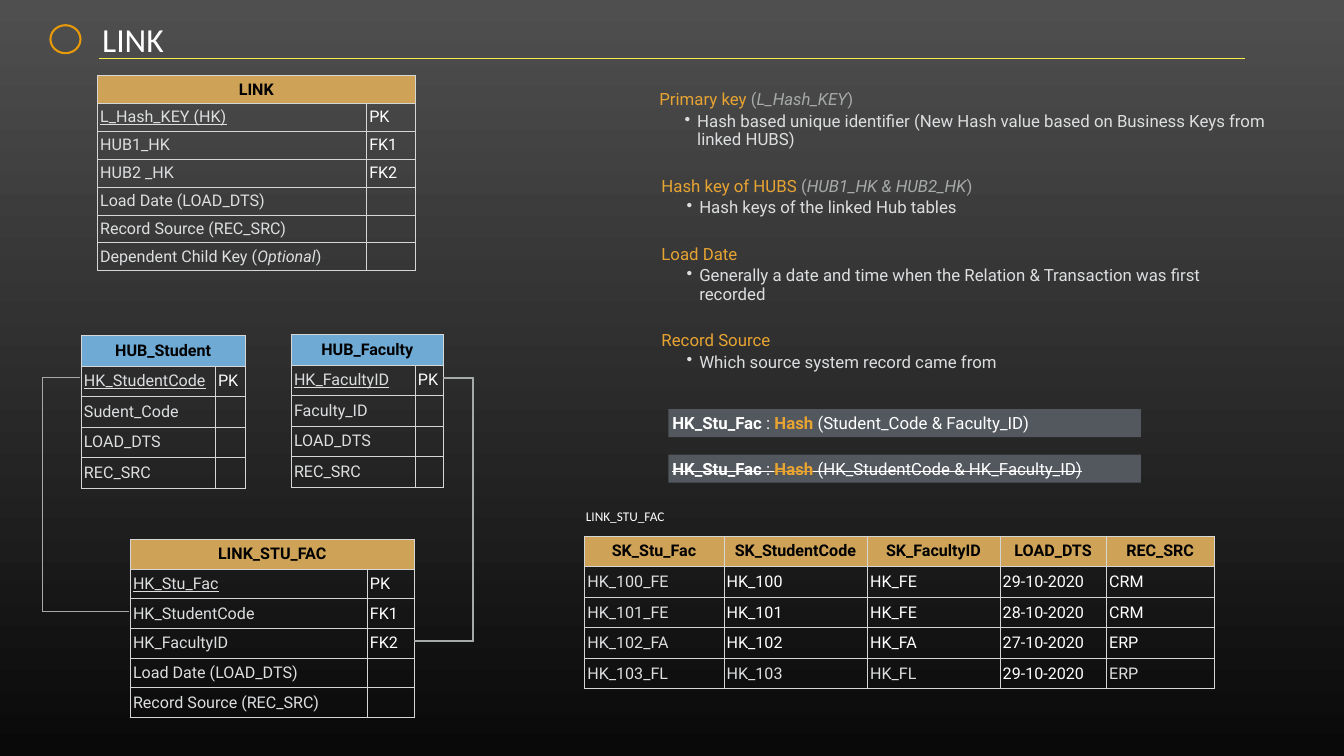
from lxml.etree import SubElement
from pptx import Presentation
from pptx.dml.color import RGBColor
from pptx.enum.shapes import MSO_CONNECTOR, MSO_SHAPE
from pptx.enum.text import MSO_ANCHOR, PP_ALIGN
from pptx.oxml.ns import qn
from pptx.util import Pt

WHITE = RGBColor(0xFF, 0xFF, 0xFF)
BLACK = RGBColor(0x00, 0x00, 0x00)
PALE = RGBColor(0xDC, 0xDE, 0xE0)
GRAY = RGBColor(0xA6, 0xAA, 0xA8)
BORDER = RGBColor(0xD6, 0xD6, 0xD6)
ORANGE = RGBColor(0xE8, 0xA4, 0x32)
GOLD = RGBColor(0xCE, 0xA3, 0x58)
BLUE = RGBColor(0x6E, 0xAA, 0xD4)
SLATE = RGBColor(0x53, 0x58, 0x5F)
YELLOW = RGBColor(0xF8, 0xEF, 0x4A)
AMBER = RGBColor(0xE6, 0x9A, 0x0A)
TOP_GRAY = RGBColor(0x4F, 0x4F, 0x4F)
BOTTOM_GRAY = RGBColor(0x09, 0x09, 0x09)

LINK_FIELDS = [
    ([("L_Hash_KEY (HK)", {"underline": True})], "PK"),
    ("HUB1_HK", "FK1"),
    ("HUB2 _HK", "FK2"),
    ("Load Date (LOAD_DTS)", ""),
    ("Record Source (REC_SRC)", ""),
    ([("Dependent Child Key (", {}), ("Optional", {"italic": True}), (")", {})], ""),
]
STUDENT_FIELDS = [
    ([("HK_StudentCode", {"underline": True})], "PK"),
    ("Sudent_Code", ""), ("LOAD_DTS", ""), ("REC_SRC", ""),
]
FACULTY_FIELDS = [
    ([("HK_FacultyID", {"underline": True})], "PK"),
    ("Faculty_ID", ""), ("LOAD_DTS", ""), ("REC_SRC", ""),
]
STU_FAC_FIELDS = [
    ([("HK_Stu_Fac", {"underline": True})], "PK"),
    ("HK_StudentCode", "FK1"),
    ("HK_FacultyID", "FK2"),
    ("Load Date (LOAD_DTS)", ""),
    ("Record Source (REC_SRC)", ""),
]
STU_FAC_ROWS = [
    ("HK_100_FE", "HK_100", "HK_FE", "29-10-2020", "CRM"),
    ("HK_101_FE", "HK_101", "HK_FE", "28-10-2020", "CRM"),
    ("HK_102_FA", "HK_102", "HK_FA", "27-10-2020", "ERP"),
    ("HK_103_FL", [("HK_103", {"color": PALE})], [("HK_FL", {"color": PALE})],
     "29-10-2020", [("ERP", {"color": PALE})]),
]
# left, top, width, height, heading, key names, explanation
NOTES = [
    (938, 120, 893, 104, "Primary key", "L_Hash_KEY",
     "Hash based unique identifier (New Hash value based on Business Keys from linked HUBS)"),
    (941, 244, 839, 76, "Hash key of HUBS", "HUB1_HK & HUB2_HK",
     "Hash keys of the linked Hub tables"),
    (941, 340.5, 839, 104, "Load Date", "",
     "Generally a date and time when the Relation & Transaction was first recorded"),
    (941, 464.5, 839, 76, "Record Source", "", "Which source system record came from"),
]
CONNECTIONS = [
    (676, 538, 676, 917), (676, 916, 592, 916), (676, 540, 633, 540),
    (184, 874, 61, 874), (61, 539, 61, 874), (115, 539, 60, 539),
]


def add_spans(para, spans, size, color, font="Roboto", **common):
    """Add text, or (text, format) pairs, to a paragraph."""
    if isinstance(spans, str):
        spans = [(spans, {})]
    for text, own in spans:
        values = {"name": font, "size": Pt(size), "color": color, **common, **own}
        span = para.add_run()
        span.text = text
        span.font.color.rgb = values.pop("color")
        if values.pop("strike", False):
            span.font._element.set("strike", "sngStrike")
        for name, value in values.items():
            setattr(span.font, name, value)


def set_margins(frame, margin):
    for side in ("left", "right", "top", "bottom"):
        setattr(frame, f"margin_{side}", Pt(margin))
    frame.vertical_anchor = MSO_ANCHOR.MIDDLE


def add_text_box(page, left, top, width, height, margin=4):
    box = page.shapes.add_textbox(Pt(left), Pt(top), Pt(width), Pt(height))
    frame = box.text_frame
    frame.word_wrap = True
    set_margins(frame, margin)
    return frame


def add_line(page, ends, color, width):
    line = page.shapes.add_connector(MSO_CONNECTOR.STRAIGHT, *map(Pt, ends))
    line.line.color.rgb = color
    line.line.width = Pt(width)
    SubElement(line._element.spPr, qn("a:effectLst"))


def format_cell(cell, spans, fill=None, **style):
    set_margins(cell, 4)
    properties = cell._tc.get_or_add_tcPr()
    for edge in ("lnL", "lnR", "lnT", "lnB"):
        line = SubElement(properties, qn(f"a:{edge}"), w=str(Pt(1)))
        solid = SubElement(line, qn("a:solidFill"))
        SubElement(solid, qn("a:srgbClr"), val=str(BORDER))
    if fill is None:
        cell.fill.background()
    else:
        cell.fill.solid()
        cell.fill.fore_color.rgb = fill
        cell.text_frame.paragraphs[0].alignment = PP_ALIGN.CENTER
    if spans:
        add_spans(cell.text_frame.paragraphs[0], spans, 23, **style)


def add_grid(page, left, top, widths, row_height, headings, rows, fill):
    """Add a table; a single heading spans all columns."""
    count = len(rows) + 1
    table = page.shapes.add_table(count, len(widths), Pt(left), Pt(top),
                                  Pt(sum(widths)), Pt(row_height * count)).table
    table.horz_banding = False
    for column, width in zip(table.columns, widths):
        column.width = Pt(width)
    for row in table.rows:
        row.height = Pt(row_height)
    if len(headings) == 1:
        table.cell(0, 0).merge(table.cell(0, len(widths) - 1))
    for index in range(len(widths)):
        heading = headings[index] if index < len(headings) else ""
        format_cell(table.cell(0, index), heading, fill, color=BLACK, bold=True)
    for row_index, values in enumerate(rows, 1):
        for index, value in enumerate(values):
            format_cell(table.cell(row_index, index), value,
                        color=WHITE if index else PALE, bold=False)


def add_note(page, left, top, width, height, heading, keys, explanation):
    frame = add_text_box(page, left, top, width, height)
    title = frame.paragraphs[0]
    title.line_spacing = 0.9
    spans = [(heading, {"color": ORANGE})]
    if keys:
        spans += [(" (", {}), (keys, {"italic": True}), (")", {})]
    add_spans(title, spans, 24, GRAY)
    bullet = frame.add_paragraph()
    properties = bullet._p.get_or_add_pPr()
    properties.set("marL", str(Pt(54)))
    properties.set("indent", str(Pt(-18)))
    SubElement(properties, qn("a:buChar"), char="•")
    bullet.line_spacing = 0.9
    bullet.space_before = Pt(5)
    add_spans(bullet, explanation, 24, PALE)


def add_formula(page, top, arguments, strike=False):
    bar = page.shapes.add_shape(MSO_SHAPE.RECTANGLE, Pt(955), Pt(top), Pt(675), Pt(40))
    bar.shadow.inherit = False
    bar.fill.solid()
    bar.fill.fore_color.rgb = SLATE
    bar.line.fill.background()
    set_margins(bar.text_frame, 5.5)
    para = bar.text_frame.paragraphs[0]
    para.alignment = PP_ALIGN.LEFT
    add_spans(para, [("HK_Stu_Fac", {"bold": True}), (" : ", {}),
                     ("Hash", {"bold": True, "color": ORANGE}),
                     (f" ({arguments})", {})], 24, WHITE, strike=strike)


def add_emblem(page):
    ring = page.shapes.add_shape(MSO_SHAPE.OVAL, Pt(72), Pt(36), Pt(43), Pt(40))
    ring.shadow.inherit = False
    ring.fill.background()
    ring.line.color.rgb = AMBER
    ring.line.width = Pt(3)


def set_background(page):
    fill = page.background.fill
    fill.gradient()
    fill.gradient_angle = 270
    for stop, color in zip(fill.gradient_stops, (TOP_GRAY, BOTTOM_GRAY)):
        stop.color.rgb = color


def main():
    deck = Presentation()
    deck.slide_width, deck.slide_height = Pt(1920), Pt(1080)
    page = deck.slides.add_slide(deck.slide_layouts[6])
    set_background(page)

    title = add_text_box(page, 140.5, 28, 761, 55.5, 5.5)
    add_spans(title.paragraphs[0], "LINK", 48, WHITE, "Calibri")
    add_line(page, (142, 83, 1778, 83), YELLOW, 1)
    add_emblem(page)

    add_grid(page, 139, 108, (384.5, 70), 39.8, ["LINK"], LINK_FIELDS, GOLD)
    for note in NOTES:
        add_note(page, *note)

    add_grid(page, 835, 766, (199, 205, 189.5, 152, 154), 43.6,
             ["SK_Stu_Fac", "SK_StudentCode", "SK_FacultyID", "LOAD_DTS", "REC_SRC"],
             STU_FAC_ROWS, GOLD)
    caption = add_text_box(page, 833, 714, 183, 45.5)
    add_spans(caption.paragraphs[0], "LINK_STU_FAC", 19, WHITE, "Calibri")

    add_grid(page, 116, 479, (191.5, 43), 43.6, ["HUB_Student"], STUDENT_FIELDS, BLUE)
    add_grid(page, 416, 478, (177, 40.5), 43.6, ["HUB_Faculty"], FACULTY_FIELDS, BLUE)
    add_grid(page, 186, 770.5, (338.5, 67.5), 42.4, ["LINK_STU_FAC"], STU_FAC_FIELDS, GOLD)
    for ends in CONNECTIONS:
        add_line(page, ends, GRAY, 2)

    add_formula(page, 584.5, "Student_Code & Faculty_ID")
    add_formula(page, 649.5, "HK_StudentCode & HK_Faculty_ID", strike=True)
    deck.save("out.pptx")


if __name__ == "__main__":
    main()
